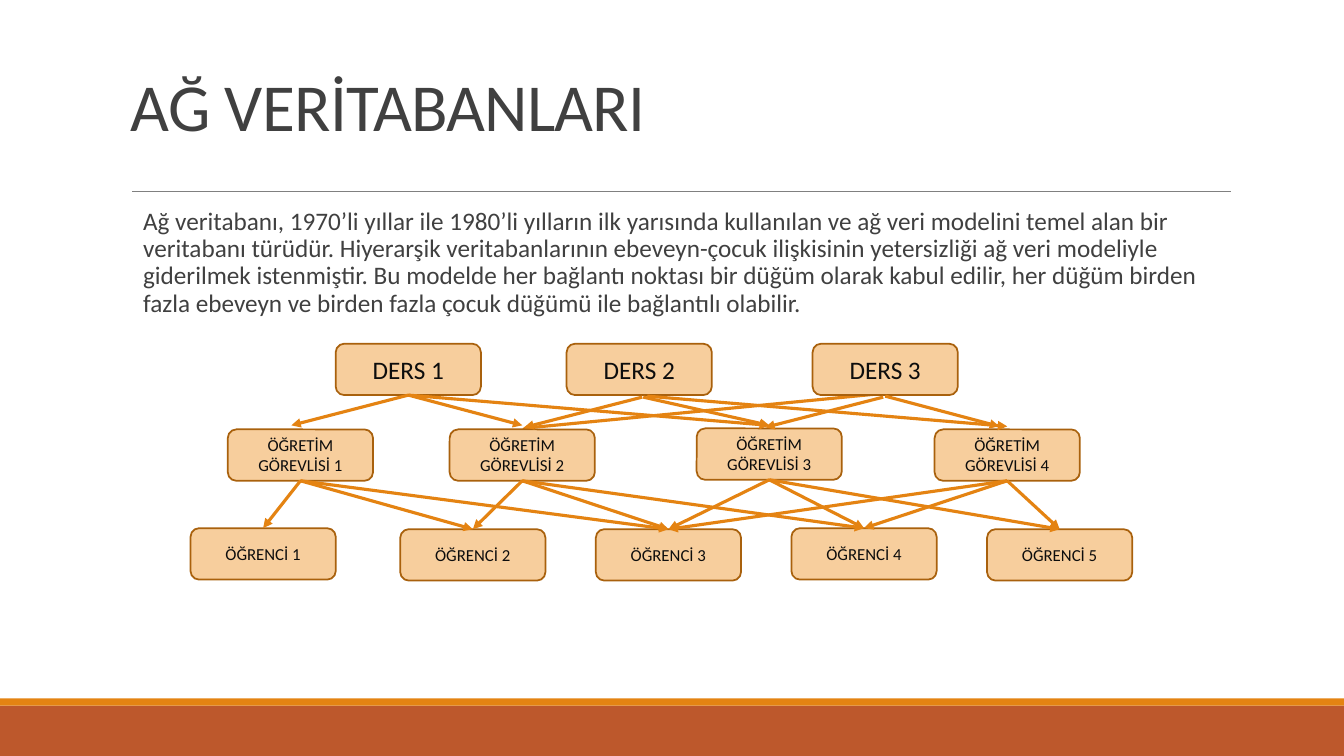
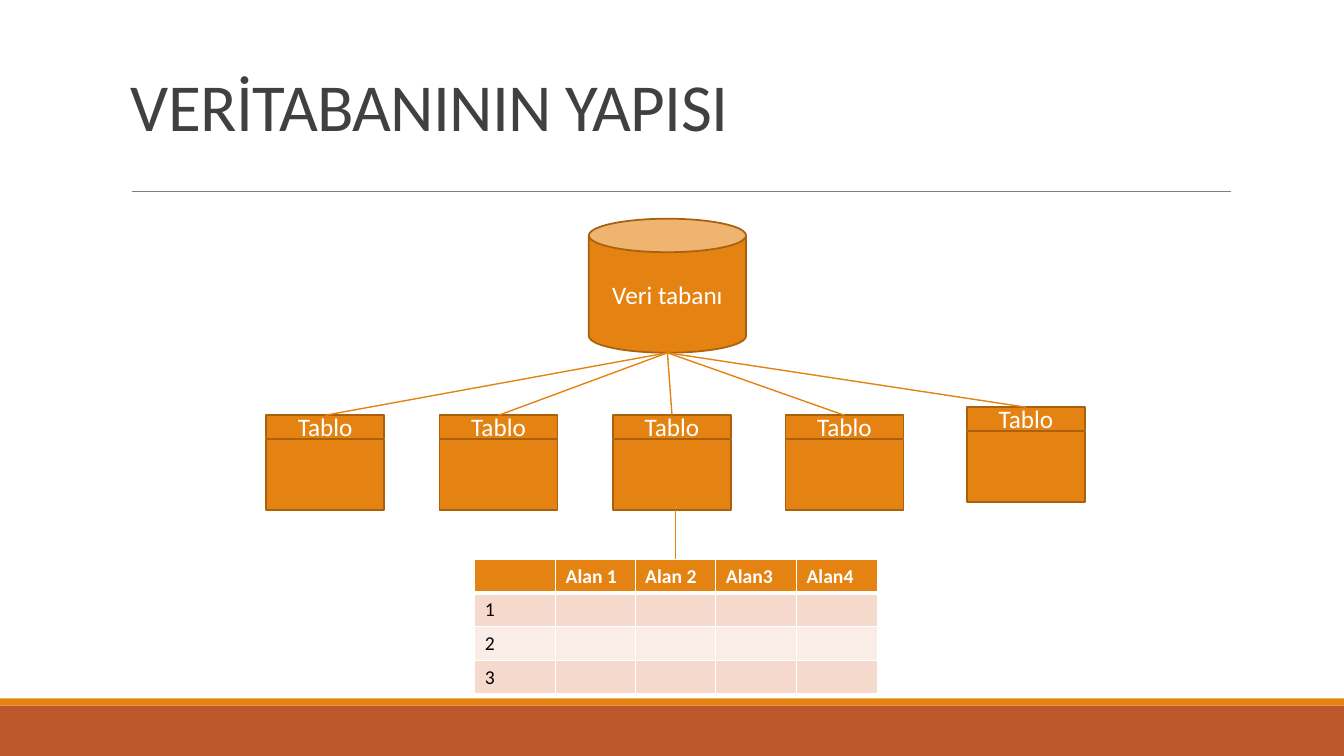
from dataclasses import dataclass
from typing import Optional

from lxml.etree import SubElement
from pptx import Presentation
from pptx.dml.color import RGBColor
from pptx.enum.shapes import MSO_AUTO_SHAPE_TYPE as ShapeKind, MSO_CONNECTOR as ConnectorKind
from pptx.enum.text import MSO_ANCHOR as Anchor, PP_ALIGN as Align
from pptx.oxml.ns import qn
from pptx.shapes.autoshape import Shape
from pptx.shapes.connector import Connector
from pptx.slide import Slide
from pptx.table import _Cell as Cell
from pptx.text.text import _Paragraph as Paragraph
from pptx.util import Inches, Pt

COLORS = {
    "orange": "E48312",
    "rust": "BD582C",
    "brown": "A9610D",
    "peach": "F7CE9D",
    "gray": "808080",
    "text": "404040",
    "ink": "0D0D0D",
    "white": "FFFFFF",
    "black": "000000",
    "row_dark": "F5D9CC",
    "row_light": "FAEDE7",
}
FONT = "Calibri"
Point = tuple[float, float]


@dataclass(frozen=True)
class Box:
    left: float
    top: float
    width: float
    height: float
    text: str = ""
    size: float = 18
    fill: str = "orange"
    outline: Optional[str] = "brown"
    color: str = "white"
    kind: ShapeKind = ShapeKind.FLOWCHART_PROCESS

    @property
    def top_center(self) -> Point:
        return self.left + self.width / 2, self.top

    @property
    def bottom_center(self) -> Point:
        return self.left + self.width / 2, self.top + self.height


@dataclass(frozen=True)
class Line:
    start: Point
    end: Point
    color: str = "orange"
    width: float = 1
    arrow: bool = False


def color_of(name: str) -> RGBColor:
    return RGBColor.from_string(COLORS[name])


def style_paragraph(paragraph: Paragraph, size: float, color: str, bold: bool = False) -> None:
    font = paragraph.font
    font.name = FONT
    font.size = Pt(size)
    font.bold = bold
    font.color.rgb = color_of(color)


def draw_box(slide: Slide, box: Box) -> Shape:
    shape = slide.shapes.add_shape(
        box.kind, Inches(box.left), Inches(box.top), Inches(box.width), Inches(box.height)
    )
    shape.shadow.inherit = False
    shape.fill.solid()
    shape.fill.fore_color.rgb = color_of(box.fill)
    if box.outline:
        shape.line.color.rgb = color_of(box.outline)
        shape.line.width = Pt(1.25)
    else:
        shape.line.fill.background()
    if box.text:
        frame = shape.text_frame
        frame.word_wrap = True
        frame.vertical_anchor = Anchor.MIDDLE
        paragraph = frame.paragraphs[0]
        paragraph.text = box.text
        paragraph.alignment = Align.CENTER
        style_paragraph(paragraph, box.size, box.color)
    return shape


def draw_line(slide: Slide, line: Line) -> Connector:
    connector = slide.shapes.add_connector(
        ConnectorKind.STRAIGHT, *(Inches(value) for value in (*line.start, *line.end))
    )
    connector.line.color.rgb = color_of(line.color)
    connector.line.width = Pt(line.width)
    if line.arrow:
        SubElement(connector.line._get_or_add_ln(), qn("a:tailEnd"), type="triangle")
    SubElement(connector._element.spPr, qn("a:effectLst"))
    return connector


def draw_text(slide: Slide, text: str, top: float, height: float, size: float) -> Shape:
    shape = slide.shapes.add_textbox(Inches(1.2), Inches(top), Inches(11), Inches(height))
    shape.text_frame.word_wrap = True
    paragraph = shape.text_frame.paragraphs[0]
    paragraph.text = text
    style_paragraph(paragraph, size, "text")
    return shape


def add_titled_slide(title: str) -> Slide:
    slide = presentation.slides.add_slide(presentation.slide_layouts[6])
    draw_box(slide, Box(0, 7, 13.33, 0.5, fill="rust", outline=None, kind=ShapeKind.RECTANGLE))
    draw_box(slide, Box(0, 6.93, 13.33, 0.07, outline=None, kind=ShapeKind.RECTANGLE))
    draw_line(slide, Line((1.31, 1.9), (12.21, 1.9), "gray", 0.5))
    frame = draw_text(slide, title, 0.31, 1.59, 48).text_frame
    frame.vertical_anchor = Anchor.MIDDLE
    paragraph = frame.paragraphs[0]
    paragraph.line_spacing = 0.85
    paragraph.runs[0].font._element.set("spc", "-50")
    return slide


def draw_body(slide: Slide, text: str) -> None:
    frame = draw_text(slide, text, 2.02, 4.4, 18).text_frame
    frame.margin_left = frame.margin_right = 0
    paragraph = frame.paragraphs[0]
    paragraph.line_spacing = 0.9
    paragraph.space_before = Pt(2)
    paragraph.space_after = Pt(4)
    paragraph._p.get_or_add_pPr().set("marL", str(Inches(0.22)))


def node(left: float, top: float, text: str, size: float = 12) -> Box:
    return Box(left, top, 1.44, 0.51, text, size, "peach", color="ink",
               kind=ShapeKind.ROUNDED_RECTANGLE)


def style_cell(cell: Cell, fill: str, top: float, bottom: float) -> None:
    properties = cell._tc.get_or_add_tcPr()
    for side, width in (("L", 1), ("R", 1), ("T", top), ("B", bottom)):
        border = SubElement(properties, qn(f"a:ln{side}"), w=str(Pt(width)))
        SubElement(SubElement(border, qn("a:solidFill")), qn("a:srgbClr"), val=COLORS["white"])
    cell.fill.solid()
    cell.fill.fore_color.rgb = color_of(fill)


def draw_field_table(slide: Slide, rows: list[list[str]]) -> None:
    table = slide.shapes.add_table(
        len(rows), len(rows[0]), Inches(4.71), Inches(5.55), Inches(3.97), Inches(1.33)
    ).table
    table.horz_banding = False
    for column, width in zip(table.columns, (0.8, 0.79, 0.8, 0.8, 0.8)):
        column.width = Inches(width)
    for row_index, texts in enumerate(rows):
        header = row_index == 0
        fill = "orange" if header else ("row_light", "row_dark")[row_index % 2]
        for column_index, text in enumerate(texts):
            cell = table.cell(row_index, column_index)
            style_cell(cell, fill, 3 if row_index == 1 else 1, 3 if header else 1)
            paragraph = cell.text_frame.paragraphs[0]
            style_paragraph(paragraph, 14, "white" if header else "black", header)
            if text:
                paragraph.add_run().text = text
            else:
                SubElement(paragraph._p, qn("a:endParaRPr"), sz="1400")


def build_network_slide() -> None:
    slide = add_titled_slide("AĞ VERİTABANLARI")
    draw_body(
        slide,
        "Ağ veritabanı, 1970’li yıllar ile 1980’li yılların ilk yarısında kullanılan ve ağ veri "
        "modelini temel alan bir veritabanı türüdür. Hiyerarşik veritabanlarının ebeveyn-çocuk "
        "ilişkisinin yetersizliği ağ veri modeliyle giderilmek istenmiştir. Bu modelde her "
        "bağlantı noktası bir düğüm olarak kabul edilir, her düğüm birden fazla ebeveyn ve "
        "birden fazla çocuk düğümü ile bağlantılı olabilir.",
    )
    lessons = [node(left, 3.41, f"DERS {number}", 18)
               for number, left in enumerate((3.33, 5.62, 8.06), 1)]
    teachers = [node(left, top, f"ÖĞRETİM GÖREVLİSİ {number}")
                for number, (left, top) in enumerate(
                    ((2.26, 4.26), (4.46, 4.26), (6.91, 4.25), (9.27, 4.26)), 1)]
    students = [node(left, top, f"ÖĞRENCİ {number}")
                for number, (left, top) in enumerate(
                    ((1.89, 5.24), (3.97, 5.25), (5.91, 5.25), (7.85, 5.24), (9.79, 5.25)), 1)]
    lesson_links = [
        ((8.79, 3.9), (5.18, 4.25)),
        ((4.05, 3.92), (2.89, 4.22)),
        ((4.05, 3.92), (5.18, 4.22)),
        ((4.05, 3.92), (7.63, 4.22)),
        ((6.37, 3.94), (5.2, 4.24)),
        ((6.38, 3.94), (7.63, 4.22)),
        ((6.42, 3.93), (9.99, 4.23)),
        ((8.76, 3.94), (7.59, 4.24)),
        ((8.78, 3.93), (9.91, 4.23)),
    ]
    student_links = [(1, 2, 3), (2, 3, 4), (3, 4, 5), (4, 3, 5)]

    first_link, *other_links = [Line(start, end, width=2.25, arrow=True)
                                for start, end in lesson_links]
    draw_line(slide, first_link)
    for lesson in lessons:
        draw_box(slide, lesson)
    teacher_shapes = [draw_box(slide, teacher) for teacher in teachers]
    student_shapes = [draw_box(slide, student) for student in students]
    for link in other_links:
        draw_line(slide, link)
    for teacher, teacher_shape, numbers in zip(teachers, teacher_shapes, student_links):
        for number in numbers:
            student = students[number - 1]
            connector = draw_line(
                slide, Line(teacher.bottom_center, student.top_center, width=2.25, arrow=True)
            )
            connector.begin_connect(teacher_shape, 2)
            connector.end_connect(student_shapes[number - 1], 0)


def build_structure_slide() -> None:
    slide = add_titled_slide("VERİTABANININ YAPISI")
    database = Box(5.84, 2.17, 1.56, 1.33, "Veri tabanı", kind=ShapeKind.CAN)
    headers = [Box(left, top, 1.17, 0.23, "Tablo") for left, top in
               ((2.64, 4.12), (4.36, 4.12), (6.08, 4.12), (7.79, 4.12), (9.59, 4.04))]
    draw_box(slide, database)
    for header in headers:
        draw_box(slide, header)
        draw_box(slide, Box(header.left, header.top + 0.24, header.width, 0.7))
    for header in headers:
        draw_line(slide, Line(database.bottom_center, header.top_center))
    draw_field_table(slide, [
        ["", "Alan 1", "Alan 2", "Alan3", "Alan4"],
        *([str(number), "", "", "", ""] for number in range(1, 4)),
    ])
    draw_line(slide, Line((6.7, 5.06), (6.7, 5.55)))


presentation = Presentation()
presentation.slide_width = Inches(13.33)
presentation.slide_height = Inches(7.5)
build_network_slide()
build_structure_slide()
presentation.save("out.pptx")
